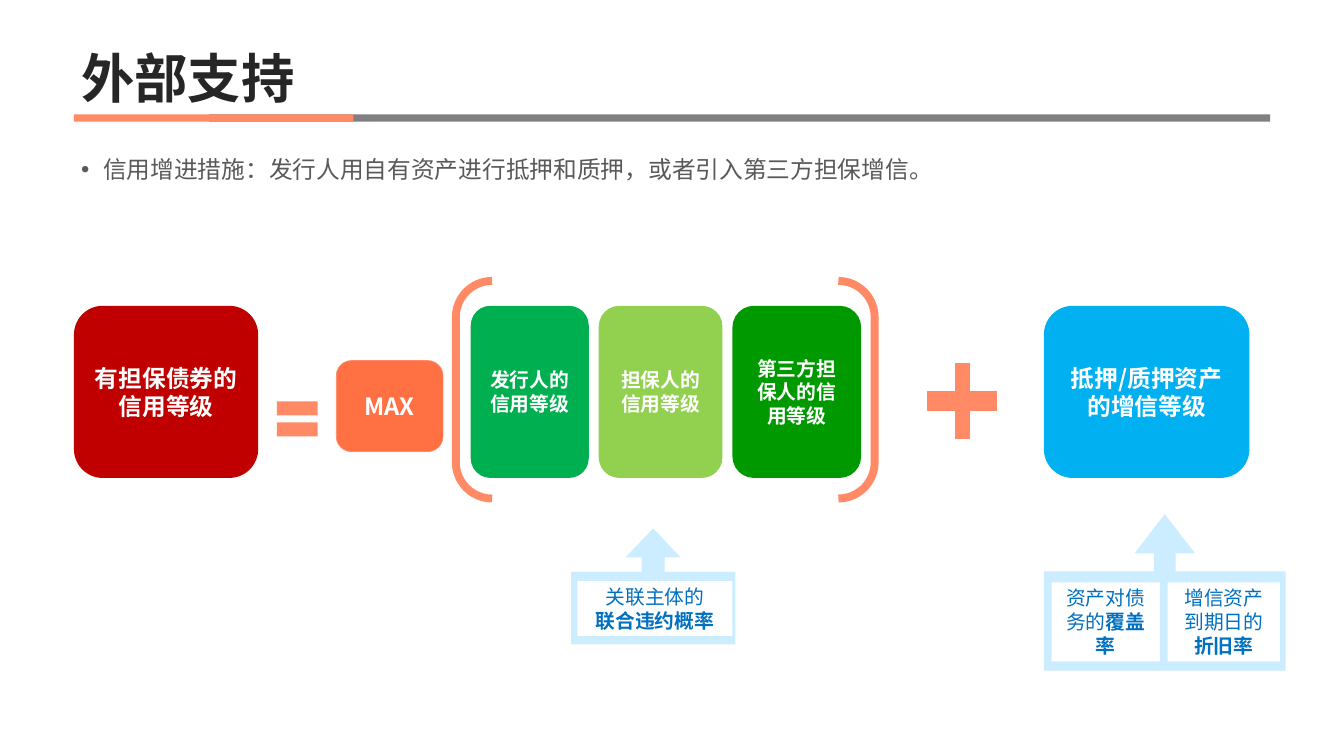
from lxml.etree import SubElement
from pptx import Presentation
from pptx.dml.color import RGBColor
from pptx.enum.shapes import MSO_SHAPE
from pptx.enum.text import MSO_ANCHOR, MSO_AUTO_SIZE, PP_ALIGN
from pptx.oxml.ns import qn
from pptx.util import Inches, Pt

CJK_FONT = "Noto Sans CJK SC"
CORAL, PALE_BLUE, WHITE = "FF8A65", "CCECFF", "FFFFFF"


def rgb(hex_color):
    return RGBColor.from_string(hex_color)


def write_text(frame, paragraphs, size=20, color=WHITE, font=CJK_FONT,
               align=PP_ALIGN.CENTER, anchor=MSO_ANCHOR.MIDDLE,
               insets=(0.1, 0.05), line_spacing=None, space_before=0):
    """Each paragraph is a list of (text, bold) runs."""
    frame.word_wrap = True
    frame.auto_size = MSO_AUTO_SIZE.NONE
    frame.vertical_anchor = anchor
    frame.margin_left = frame.margin_right = Inches(insets[0])
    frame.margin_top = frame.margin_bottom = Inches(insets[1])
    for index, runs in enumerate(paragraphs):
        paragraph = frame.add_paragraph() if index else frame.paragraphs[0]
        paragraph.alignment = align
        paragraph.space_before = Pt(space_before)
        if line_spacing:
            paragraph.line_spacing = line_spacing
        for text, bold in runs:
            run = paragraph.add_run()
            run.text = text
            run.font.size = Pt(size)
            run.font.bold = bold
            run.font.color.rgb = rgb(color)
            run.font.name = font
            SubElement(run.font._element, qn("a:ea"), typeface=CJK_FONT)


class SlideBuilder:
    def __init__(self, slide):
        self.slide = slide

    def placeholder(self, index, box, paragraphs, **text_format):
        holder = self.slide.placeholders[index]
        holder.left, holder.top, holder.width, holder.height = map(Inches, box)
        write_text(holder.text_frame, paragraphs, align=PP_ALIGN.LEFT,
                   anchor=MSO_ANCHOR.BOTTOM, **text_format)
        return holder

    def bullets(self, index, box, paragraphs, indent, **text_format):
        holder = self.placeholder(index, box, paragraphs, **text_format)
        for paragraph in holder.text_frame.paragraphs:
            properties = paragraph._p.get_or_add_pPr()
            properties.set("marL", str(Inches(indent)))
            properties.set("indent", str(-Inches(indent)))
            SubElement(properties, qn("a:buFont"), typeface="Arial")
            SubElement(properties, qn("a:buChar"), char="•")

    def shape(self, kind, box, fill=None, line=None, line_width=1, adjustments=()):
        shape = self.slide.shapes.add_shape(kind, *map(Inches, box))
        shape.shadow.inherit = False
        if fill:
            shape.fill.solid()
            shape.fill.fore_color.rgb = rgb(fill)
        else:
            shape.fill.background()
        if line:
            shape.line.color.rgb = rgb(line)
            shape.line.width = Pt(line_width)
        else:
            shape.line.fill.background()
        for index, value in enumerate(adjustments):
            shape.adjustments[index] = value
        return shape

    def rating(self, box, fill, lines, size=20, **outline):
        card = self.shape(MSO_SHAPE.ROUNDED_RECTANGLE, box, fill, **outline)
        write_text(card.text_frame, [[(line, True)] for line in lines],
                   size=size, insets=(0.14, 0.07))

    def factor(self, box, paragraphs):
        panel = self.shape(MSO_SHAPE.RECTANGLE, box, WHITE)
        write_text(panel.text_frame, paragraphs, color="0070C0", font="Arial",
                   anchor=MSO_ANCHOR.TOP)


def main():
    deck = Presentation()
    deck.slide_width, deck.slide_height = Inches(18.9), Inches(10.63)
    builder = SlideBuilder(deck.slides.add_slide(deck.slide_layouts[1]))

    # Heading and its two-colour rule
    builder.shape(MSO_SHAPE.RECTANGLE, (2.94, 1.61, 14.92, 0.1), "808080")
    builder.shape(MSO_SHAPE.RECTANGLE, (1.04, 1.61, 3.93, 0.1), CORAL)
    builder.placeholder(0, (1.04, 0, 16.82, 1.59), [[("外部支持", True)]],
                        size=54, color="262626", font="Arial", line_spacing=0.9)
    measures = "信用增进措施：发行人用自有资产进行抵押和质押，或者引入第三方担保增信。"
    builder.bullets(1, (1.04, 1.64, 16.91, 0.99), [[(measures, False)]], 0.31,
                    size=24, color="595959", line_spacing=1.5, space_before=10)

    # Rating cards share one row
    row_top, row_height = 4.3, 2.42
    for left, width, fill, size, lines in (
        (1.04, 2.59, "C00000", 24, ["有担保债券的信用等级"]),
        (6.62, 1.66, "00B050", 20, ["发行人的信用等级"]),
        (8.42, 1.74, "92D050", 20, ["担保人的信用等级"]),
        (10.3, 1.81, "009900", 20, ["第三方担保人的信用等级"]),
        (14.68, 2.89, "00B0F0", 24, ["抵押/质押资产", "的增信等级"]),
    ):
        builder.rating((left, row_top, width, row_height), fill, lines, size)

    # Operators of the formula
    builder.shape(MSO_SHAPE.MATH_EQUAL, (3.79, 5.47, 0.78, 0.84), CORAL)
    builder.rating((4.73, 5.07, 1.5, 1.28), "FF7043", ["MAX"], 24,
                   line=CORAL, line_width=0.75)
    builder.shape(MSO_SHAPE.DOUBLE_BRACKET, (6.41, 3.95, 5.89, 3.06),
                  line=CORAL, line_width=8)
    builder.shape(MSO_SHAPE.CROSS, (13.04, 5.11, 0.98, 1.05), CORAL,
                  line=CORAL, adjustments=[0.399])

    # Callouts with the factors behind the ratings
    builder.shape(MSO_SHAPE.UP_ARROW_CALLOUT, (14.68, 7.23, 3.4, 2.2), PALE_BLUE,
                  adjustments=(0.14, 0.193, 0.25, 0.634))
    builder.factor((14.79, 8.19, 1.52, 1.11),
                   [[("资产对债务的", False), ("覆盖率", True)]])
    builder.factor((16.42, 8.19, 1.58, 1.11),
                   [[("增信资产到期日的", False), ("折旧率", True)]])
    builder.shape(MSO_SHAPE.UP_ARROW_CALLOUT, (8.03, 7.43, 2.31, 1.63), PALE_BLUE,
                  adjustments=(0.199, 0.237, 0.25, 0.624))
    builder.factor((8.12, 8.17, 2.18, 0.77),
                   [[("关联主体的", False)], [("联合违约概率", True)]])

    deck.save("out.pptx")


if __name__ == "__main__":
    main()
